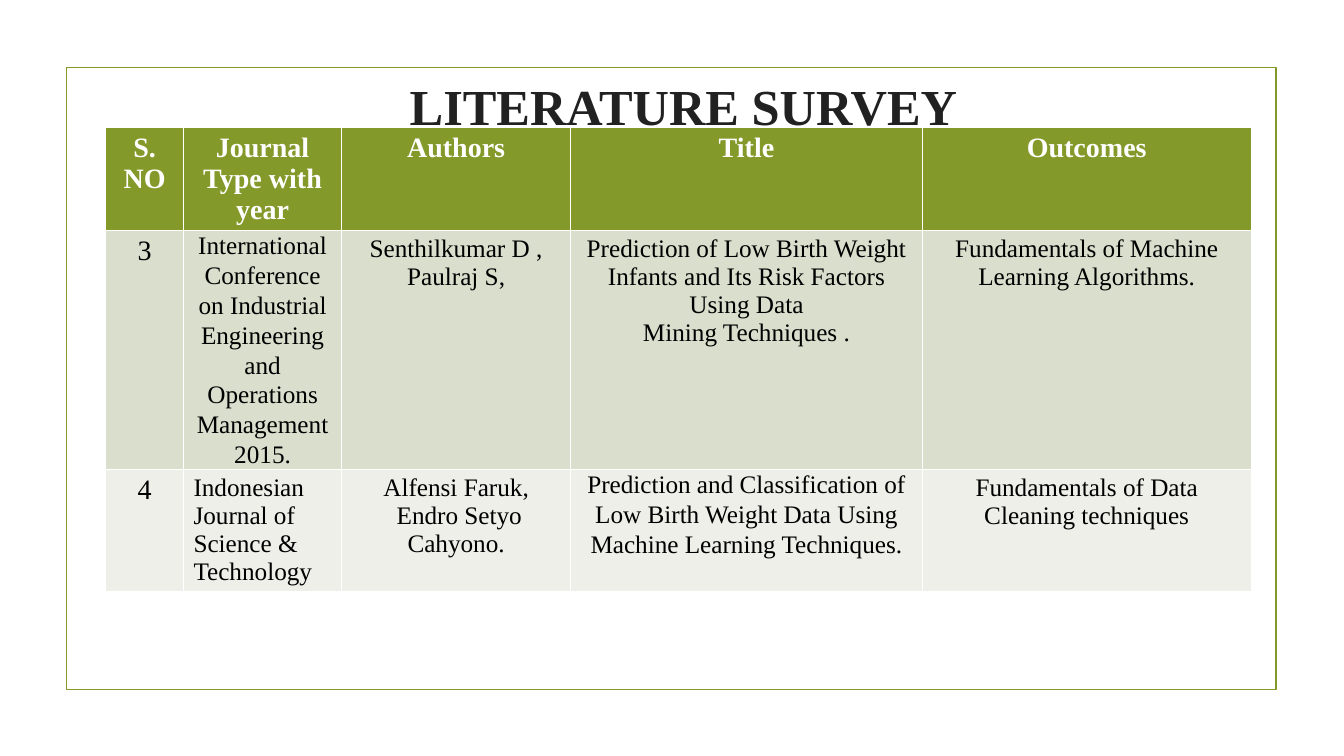
from lxml.etree import SubElement
from pptx import Presentation
from pptx.dml.color import RGBColor
from pptx.enum.shapes import MSO_SHAPE as Shape
from pptx.enum.text import MSO_ANCHOR as Anchor, MSO_AUTO_SIZE as Fit, PP_ALIGN as Align
from pptx.oxml.ns import qn
from pptx.util import Inches, Pt

# Content
TITLE = "LITERATURE SURVEY"
ROWS = [
    ["S. NO", "Journal Type with year", "Authors", "Title", "Outcomes"],
    ["3",
     "International Conference on Industrial Engineering and Operations Management 2015.",
     "Senthilkumar D ,\nPaulraj S,",
     "Prediction of Low Birth Weight Infants and Its Risk Factors Using Data\nMining Techniques .",
     "Fundamentals of Machine Learning Algorithms."],
    ["4",
     "Indonesian Journal of Science & Technology",
     "Alfensi Faruk,\n Endro Setyo Cahyono.",
     "Prediction and Classification of Low Birth Weight Data Using Machine Learning Techniques.",
     "Fundamentals of Data Cleaning techniques"],
]
WIDTHS = [0.77, 1.57, 2.27, 3.49, 3.26]
HEIGHTS = [1.02, 2.37, 1.21]
TIGHT = {(1, 1), (2, 3)}  # cells with no top inset and looser lines
LEFT = {(2, 1)}
FONT = "Times New Roman"
COLORS = {"green": "83992A", "sage": "D9DECD", "pale": "EDEFE8",
          "white": "FFFFFF", "black": "000000", "ink": "212121"}
FILLS = ["green", "sage", "pale"]


def color(name):
    return RGBColor.from_string(COLORS[name])


def style(para, size, name, bold, align):
    para.alignment = align
    for run in para.runs:
        font = run.font
        font.name, font.size, font.bold = FONT, Pt(size), bold
        font.color.rgb = color(name)


def border(cell):
    props = cell._tc.get_or_add_tcPr()
    for side in ("lnL", "lnR", "lnT", "lnB"):
        line = SubElement(props, qn("a:" + side), w=str(Pt(1)))
        fill = SubElement(line, qn("a:solidFill"))
        SubElement(fill, qn("a:srgbClr"), val=COLORS["white"])


def fill_cell(cell, text, row, col):
    border(cell)
    cell.fill.solid()
    cell.fill.fore_color.rgb = color(FILLS[row])
    cell.text_frame.text = text
    head, tight = row == 0, (row, col) in TIGHT
    if tight:
        cell.margin_left = cell.margin_right = Inches(0.07)
        cell.margin_top = cell.margin_bottom = 0
    for para in cell.text_frame.paragraphs:
        style(para, 20 if head or col == 0 else 18, "white" if head else "black",
              head, Align.LEFT if (row, col) in LEFT else Align.CENTER)
        if tight:
            para.line_spacing = 1.07


def main():
    prs = Presentation()
    prs.slide_width, prs.slide_height = Inches(13.33), Inches(7.5)
    slide = prs.slides.add_slide(prs.slide_layouts[5])

    # Frame
    frame = slide.shapes.add_shape(Shape.RECTANGLE, Inches(0.66), Inches(0.67),
                                   Inches(12), Inches(6.17))
    frame.shadow.inherit = False
    frame.fill.background()
    frame.line.color.rgb = color("green")
    frame.line.width = Pt(1.25)

    # Title
    title = slide.shapes.title
    title.left, title.top = Inches(1.58), Inches(0.28)
    title.width, title.height = Inches(9.4), Inches(1.02)
    box = title.text_frame
    box.text = TITLE
    box.word_wrap, box.auto_size = True, Fit.NONE
    box.vertical_anchor = Anchor.TOP
    box.margin_left = Inches(1.1)
    style(box.paragraphs[0], 36, "ink", True, Align.CENTER)
    box.paragraphs[0].line_spacing = 1.7

    # Table
    table = slide.shapes.add_table(len(ROWS), len(WIDTHS), Inches(1.05), Inches(1.26),
                                   Inches(sum(WIDTHS)), Inches(sum(HEIGHTS))).table
    for col, width in zip(table.columns, WIDTHS):
        col.width = Inches(width)
    for row, height in zip(table.rows, HEIGHTS):
        row.height = Inches(height)
    for r, texts in enumerate(ROWS):
        for c, text in enumerate(texts):
            fill_cell(table.cell(r, c), text, r, c)

    prs.save("out.pptx")


if __name__ == "__main__":
    main()
